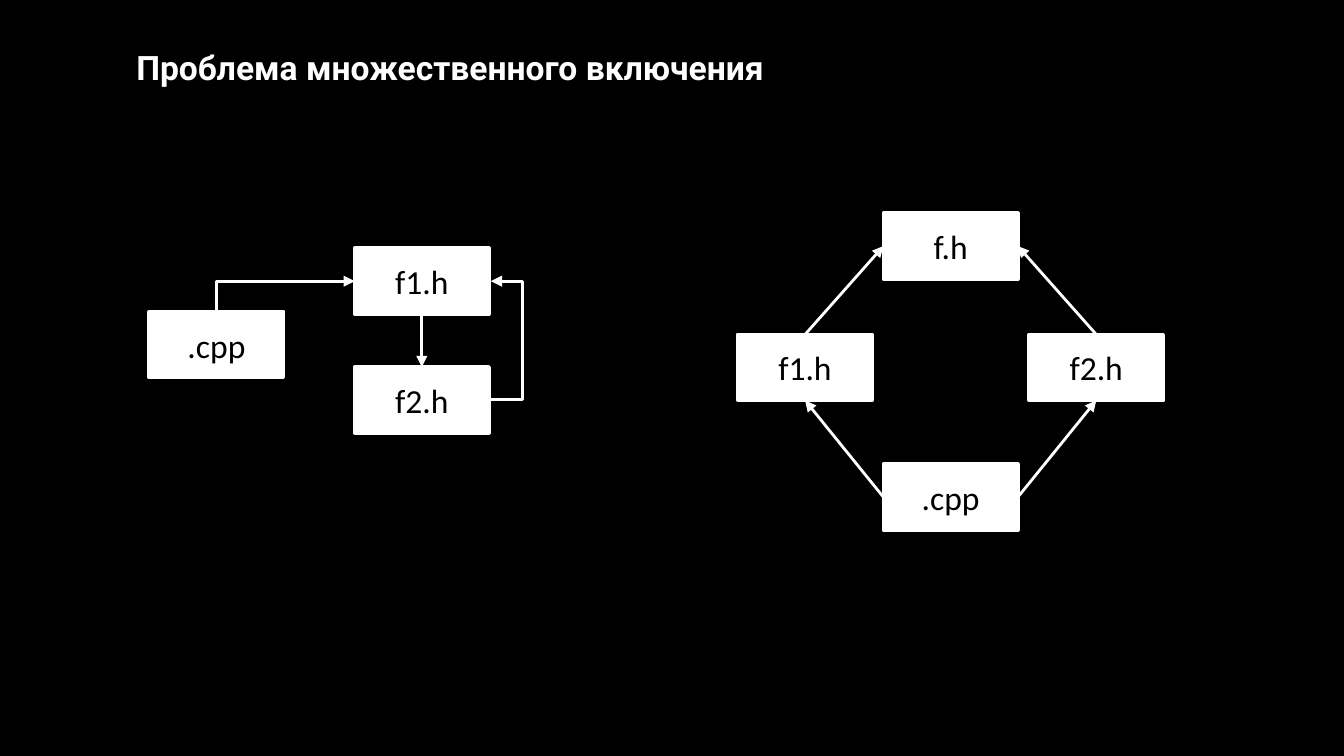
from lxml import etree
from pptx import Presentation
from pptx import util as u
from pptx.dml.color import RGBColor
from pptx.enum import shapes, text
from pptx.oxml.ns import qn

BLACK = RGBColor(0, 0, 0)
WHITE = RGBColor(255, 255, 255)
TOP, LEFT, BOTTOM, RIGHT = range(4)


def write(frame, words, font, size, color, bold=False, align=text.PP_ALIGN.LEFT,
          anchor=text.MSO_ANCHOR.TOP):
    frame.word_wrap = True
    frame.auto_size = text.MSO_AUTO_SIZE.NONE
    frame.vertical_anchor = anchor
    para = frame.paragraphs[0]
    para.alignment = align
    span = para.add_run()
    span.text = words
    span.font.name = font
    span.font.size = u.Pt(size)
    span.font.bold = bold
    span.font.color.rgb = color


class Diagram:
    box_width, box_height = 72, 35.3
    border, stroke = 2, 1.5
    size = 18

    def __init__(self, page):
        self.page = page
        page.background.fill.solid()
        page.background.fill.fore_color.rgb = BLACK

    def title(self, words, left, top, width, height):
        box = self.page.shapes.title
        box.left, box.top = u.Pt(left), u.Pt(top)
        box.width, box.height = u.Pt(width), u.Pt(height)
        write(box.text_frame, words, "Roboto", self.size, WHITE, bold=True)

    def file_box(self, words, left, top):
        box = self.page.shapes.add_shape(
            shapes.MSO_SHAPE.RECTANGLE, u.Pt(left), u.Pt(top),
            u.Pt(self.box_width), u.Pt(self.box_height))
        box.shadow.inherit = False
        box.fill.solid()
        box.fill.fore_color.rgb = WHITE
        box.line.color.rgb = WHITE
        box.line.width = u.Pt(self.border)
        write(box.text_frame, words, "Calibri", self.size, BLACK,
              align=text.PP_ALIGN.CENTER, anchor=text.MSO_ANCHOR.MIDDLE)
        return box

    def arrow(self, start, start_side, end, end_side,
              kind=shapes.MSO_CONNECTOR.STRAIGHT):
        arrow = self.page.shapes.add_connector(kind, 0, 0, 0, 0)
        arrow.begin_connect(start, start_side)
        arrow.end_connect(end, end_side)
        arrow.line.color.rgb = WHITE
        arrow.line.width = u.Pt(self.stroke)
        etree.SubElement(arrow.line._get_or_add_ln(), qn("a:tailEnd"), type="triangle")
        etree.SubElement(arrow._element.spPr, qn("a:effectLst"))
        return arrow

    def corner_arrow(self, start, end):
        arrow = self.arrow(start, TOP, end, LEFT, shapes.MSO_CONNECTOR.ELBOW)
        middle_x = arrow.left + arrow.width // 2
        middle_y = arrow.top + arrow.height // 2
        arrow.width, arrow.height = arrow.height, arrow.width
        arrow.left = middle_x - arrow.width // 2
        arrow.top = middle_y - arrow.height // 2
        properties = arrow._element.spPr
        properties.find(qn("a:prstGeom")).set("prst", "bentConnector2")
        frame = properties.find(qn("a:xfrm"))
        for name, value in (("rot", "5400000"), ("flipH", "1"), ("flipV", "1")):
            frame.set(name, value)

    def loop_arrow(self, start, end, reach):
        arrow = self.arrow(start, RIGHT, end, RIGHT, shapes.MSO_CONNECTOR.ELBOW)
        arrow.left, arrow.width = start.left + start.width, u.Pt(1)
        properties = arrow._element.spPr
        properties.find(qn("a:xfrm")).set("flipH", "0")
        guides = properties.find(qn("a:prstGeom")).get_or_add_avLst()
        etree.SubElement(guides, qn("a:gd"), name="adj1", fmla=f"val {reach * 100000}")


deck = Presentation()
deck.slide_width, deck.slide_height = u.Pt(720), u.Pt(405)
diagram = Diagram(deck.slides.add_slide(deck.slide_layouts[5]))
diagram.title("Проблема множественного включения", 65.8, 21.6, 634, 351)

source = diagram.file_box(".cpp", 80, 167)
first = diagram.file_box("f1.h", 190, 133)
second = diagram.file_box("f2.h", 190, 196.6)
diagram.corner_arrow(source, first)
diagram.arrow(first, BOTTOM, second, TOP)
diagram.loop_arrow(second, first, 18)

center, spread, middle = 473.3, 78, 179.2
source = diagram.file_box(".cpp", center, middle + 69.5)
common = diagram.file_box("f.h", center, middle - 65)
for words, left, side in (("f1.h", center - spread, LEFT),
                          ("f2.h", center + spread, RIGHT)):
    header = diagram.file_box(words, left, middle)
    diagram.arrow(source, side, header, BOTTOM)
    diagram.arrow(header, TOP, common, side)

deck.save("out.pptx")
